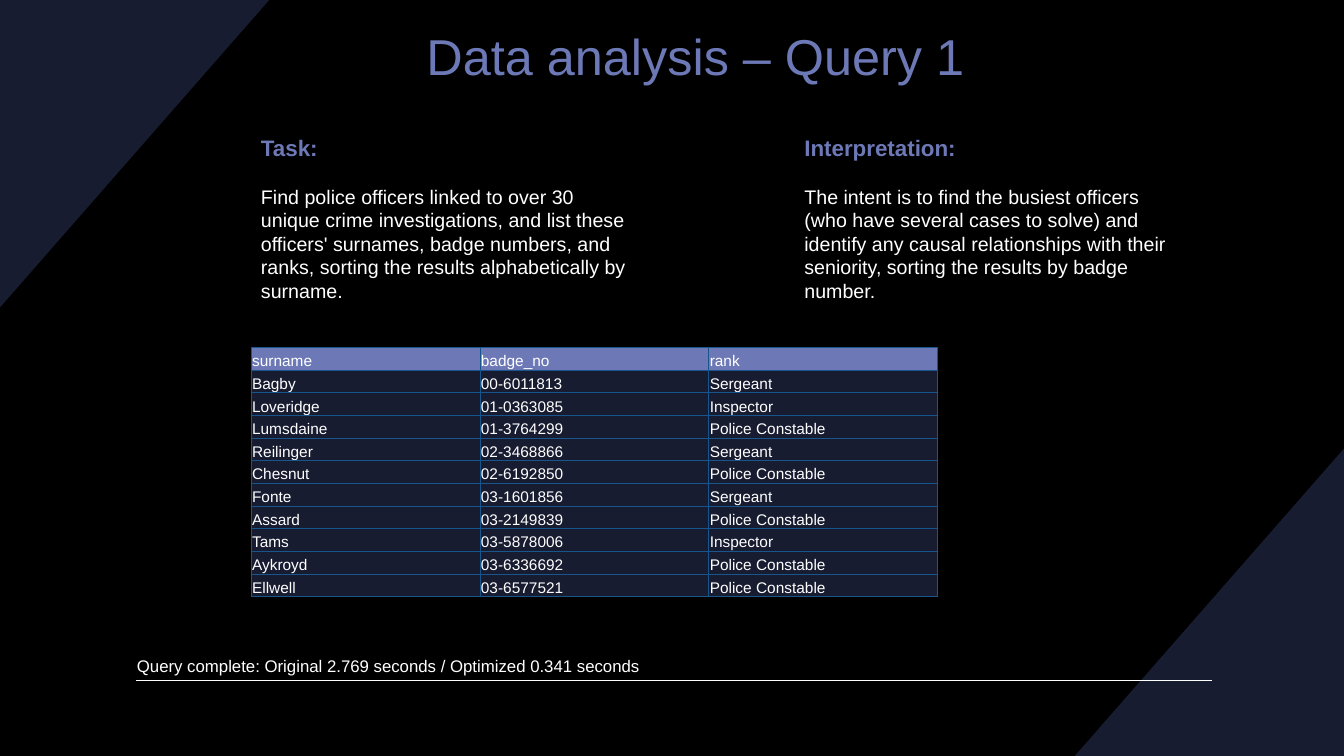
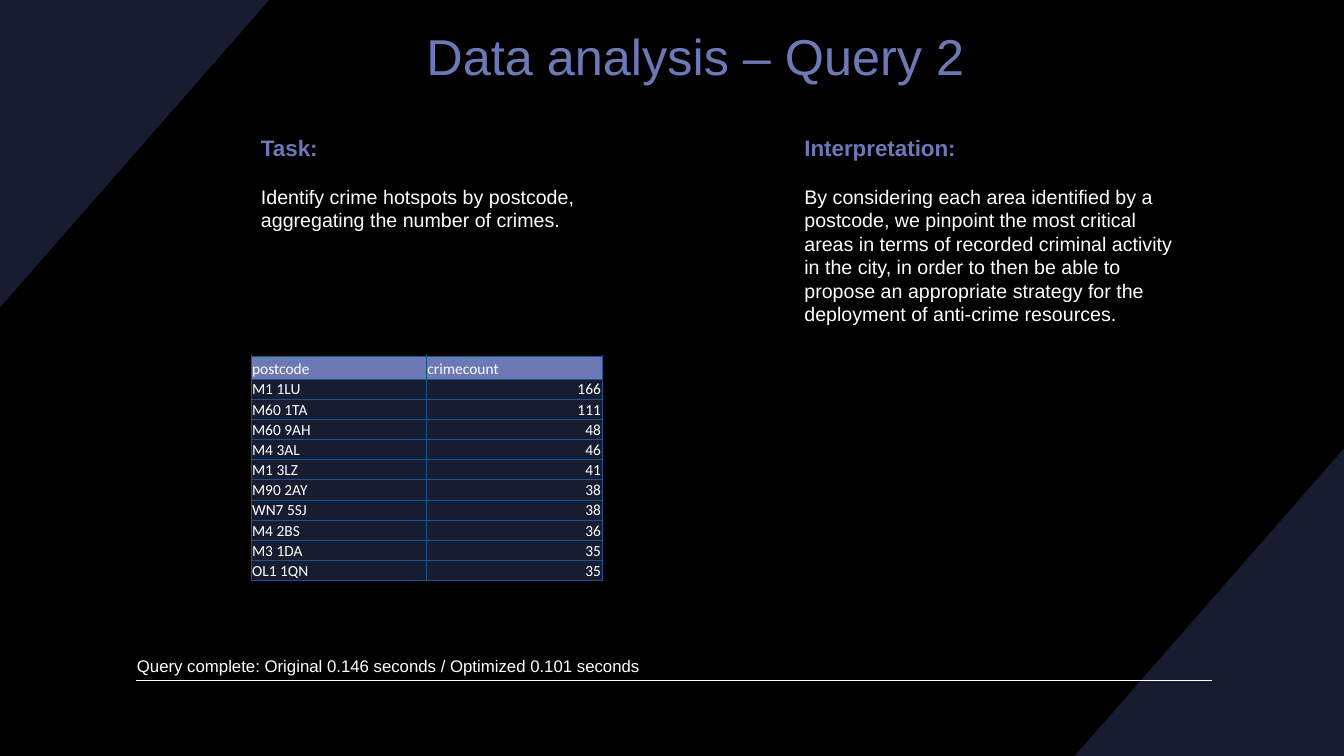
from lxml import etree
from pptx import Presentation
from pptx.dml.color import RGBColor
from pptx.enum.shapes import MSO_CONNECTOR
from pptx.enum.text import MSO_ANCHOR, MSO_AUTO_SIZE, PP_ALIGN
from pptx.oxml import parse_xml
from pptx.oxml.ns import nsdecls, qn
from pptx.util import Inches, Pt

WIDTH, HEIGHT = 13.33, 7.5
CORNER_WIDTH, CORNER_HEIGHT = 2.67, 3.05
BLACK, WHITE, NAVY, VIOLET, BORDER = "000000", "FFFFFF", "181C30", "6D79B6", "18558C"
FONT = "Arial"
TITLE_BOX = (4.13, 0.19, 7.9, 0.71)
COLUMN_LEFTS, COLUMN_TOP, COLUMN_WIDTH = (2.49, 7.88), 1.28, 3.9
TIMING_BOX = (1.26, 6.46, 8.04, 0.3)
RULE = (1.35, 6.75, 12.02, 6.75)

QUERIES = [
    {
        "title": "Data analysis – Query 1",
        "columns": [
            ("Task:", "Find police officers linked to over 30 unique crime investigations, "
             "and list these officers' surnames, badge numbers, and ranks, sorting the "
             "results alphabetically by surname.", 1.78),
            ("Interpretation:", "The intent is to find the busiest officers (who have several "
             "cases to solve) and identify any causal relationships with their seniority, "
             "sorting the results by badge number.", 1.78),
        ],
        "timing": "Query complete: Original 2.769 seconds / Optimized 0.341 seconds",
        "table": {
            "top": 3.45, "column_width": 2.27, "header_height": 0.22, "row_height": 0.225,
            "font": FONT,
            "rows": [
                ("surname", "badge_no", "rank"),
                ("Bagby", "00-6011813", "Sergeant"),
                ("Loveridge", "01-0363085", "Inspector"),
                ("Lumsdaine", "01-3764299", "Police Constable"),
                ("Reilinger", "02-3468866", "Sergeant"),
                ("Chesnut", "02-6192850", "Police Constable"),
                ("Fonte", "03-1601856", "Sergeant"),
                ("Assard", "03-2149839", "Police Constable"),
                ("Tams", "03-5878006", "Inspector"),
                ("Aykroyd", "03-6336692", "Police Constable"),
                ("Ellwell", "03-6577521", "Police Constable"),
            ],
        },
    },
    {
        "title": "Data analysis – Query 2",
        "columns": [
            ("Task:", "Identify crime hotspots by postcode, aggregating the number of crimes.",
             1.08),
            ("Interpretation:", "By considering each area identified by a postcode, we pinpoint "
             "the most critical areas in terms of recorded criminal activity in the city, in "
             "order to then be able to propose an appropriate strategy for the deployment of "
             "anti-crime resources.", 2.02),
        ],
        "timing": "Query complete: Original 0.146 seconds / Optimized 0.101 seconds",
        "table": {
            "top": 3.53, "column_width": 1.74, "header_height": 0.23, "row_height": 0.2,
            "font": "Calibri",
            "rows": [
                ("postcode", "crimecount"),
                ("M1 1LU", 166),
                ("M60 1TA", 111),
                ("M60 9AH", 48),
                ("M4 3AL", 46),
                ("M1 3LZ", 41),
                ("M90 2AY", 38),
                ("WN7 5SJ", 38),
                ("M4 2BS", 36),
                ("M3 1DA", 35),
                ("OL1 1QN", 35),
            ],
        },
    },
]


def color(value):
    return RGBColor.from_string(value)


def inches(*values):
    return [Inches(value) for value in values]


def write(paragraph, text, size, fill=WHITE, bold=False, font=FONT,
          align=PP_ALIGN.LEFT, before=None):
    paragraph.alignment = align
    if before is not None:
        paragraph.space_before = Pt(before)
    run = paragraph.add_run()
    run.text = text
    run.font.name, run.font.size, run.font.bold = font, Pt(size), bold
    run.font.color.rgb = color(fill)


def add_text_frame(slide, box):
    frame = slide.shapes.add_textbox(*inches(*box)).text_frame
    frame.word_wrap = True
    frame.auto_size = MSO_AUTO_SIZE.SHAPE_TO_FIT_TEXT
    return frame


def add_triangle(slide, *points):
    start, *others = [inches(*point) for point in points]
    builder = slide.shapes.build_freeform(*start)
    builder.add_line_segments(others, close=True)
    shape = builder.convert_to_shape()
    shape.shadow.inherit = False
    shape.fill.solid()
    shape.fill.fore_color.rgb = color(NAVY)
    shape.line.fill.background()
    return shape


def add_rule(slide):
    rule = slide.shapes.add_connector(MSO_CONNECTOR.STRAIGHT, *inches(*RULE))
    rule.line.color.rgb = color(WHITE)
    rule.line.width = Pt(1)
    etree.SubElement(rule.element.spPr, qn("a:effectLst"))
    return rule


def prepare_layout(layout):
    """Give the layout its backdrop, title place, corner triangles and rule."""
    layout.background.fill.solid()
    layout.background.fill.fore_color.rgb = color(BLACK)
    for placeholder in list(layout.placeholders):
        if placeholder.placeholder_format.idx:
            layout.shapes.element.remove(placeholder.element)
        else:
            (placeholder.left, placeholder.top,
             placeholder.width, placeholder.height) = inches(*TITLE_BOX)


def move_to_layout(shapes, layout):
    for shape in shapes:
        layout.shapes.element.append(shape.element)


def draw_shared_parts(slide):
    right, bottom = WIDTH - CORNER_WIDTH, HEIGHT - CORNER_HEIGHT
    return [
        add_triangle(slide, (WIDTH, bottom), (WIDTH, HEIGHT), (right, HEIGHT)),
        add_triangle(slide, (0, CORNER_HEIGHT), (0, 0), (CORNER_WIDTH, 0)),
        add_rule(slide),
    ]


def set_borders(cell):
    properties = cell._tc.get_or_add_tcPr()
    for index, side in enumerate(("lnL", "lnR", "lnT", "lnB")):
        properties.insert(index, parse_xml(
            f'<a:{side} {nsdecls("a")} w="{Pt(0.5)}"><a:solidFill>'
            f'<a:srgbClr val="{BORDER}"/></a:solidFill></a:{side}>'))


def add_result_table(slide, top, column_width, header_height, row_height, font, rows):
    heights = [header_height] + [row_height] * (len(rows) - 1)
    table = slide.shapes.add_table(
        len(rows), len(rows[0]),
        *inches(COLUMN_LEFTS[0], top, column_width * len(rows[0]), sum(heights))).table
    table.first_row = table.horz_banding = False
    for column in table.columns:
        column.width = Inches(column_width)
    for row_index, (values, height) in enumerate(zip(rows, heights)):
        table.rows[row_index].height = Inches(height)
        for column_index, value in enumerate(values):
            cell = table.cell(row_index, column_index)
            cell.margin_left = cell.margin_right = cell.margin_top = Inches(0.01)
            cell.margin_bottom = 0
            cell.vertical_anchor = MSO_ANCHOR.BOTTOM
            cell.fill.solid()
            cell.fill.fore_color.rgb = color(NAVY if row_index else VIOLET)
            set_borders(cell)
            align = PP_ALIGN.RIGHT if isinstance(value, int) else PP_ALIGN.LEFT
            write(cell.text_frame.paragraphs[0], str(value), 11, font=font, align=align)


def fill_slide(slide, query):
    title = slide.shapes.title.text_frame
    title.word_wrap = True
    title.auto_size = MSO_AUTO_SIZE.SHAPE_TO_FIT_TEXT
    write(title.paragraphs[0], query["title"], 36, fill=VIOLET)
    for left, (heading, body, height) in zip(COLUMN_LEFTS, query["columns"]):
        frame = add_text_frame(slide, (left, COLUMN_TOP, COLUMN_WIDTH, height))
        write(frame.paragraphs[0], heading, 16, fill=VIOLET, bold=True)
        write(frame.add_paragraph(), body, 14, before=17)
    timing = add_text_frame(slide, TIMING_BOX)
    write(timing.paragraphs[0], query["timing"], 12)
    add_result_table(slide, **query["table"])


def main():
    presentation = Presentation()
    presentation.slide_width, presentation.slide_height = inches(WIDTH, HEIGHT)
    layout = presentation.slide_layouts.get_by_name("Title Only")
    prepare_layout(layout)
    slides = [presentation.slides.add_slide(layout) for _ in QUERIES]
    move_to_layout(draw_shared_parts(slides[0]), layout)
    for slide, query in zip(slides, QUERIES):
        fill_slide(slide, query)
    presentation.save("out.pptx")


if __name__ == "__main__":
    main()
